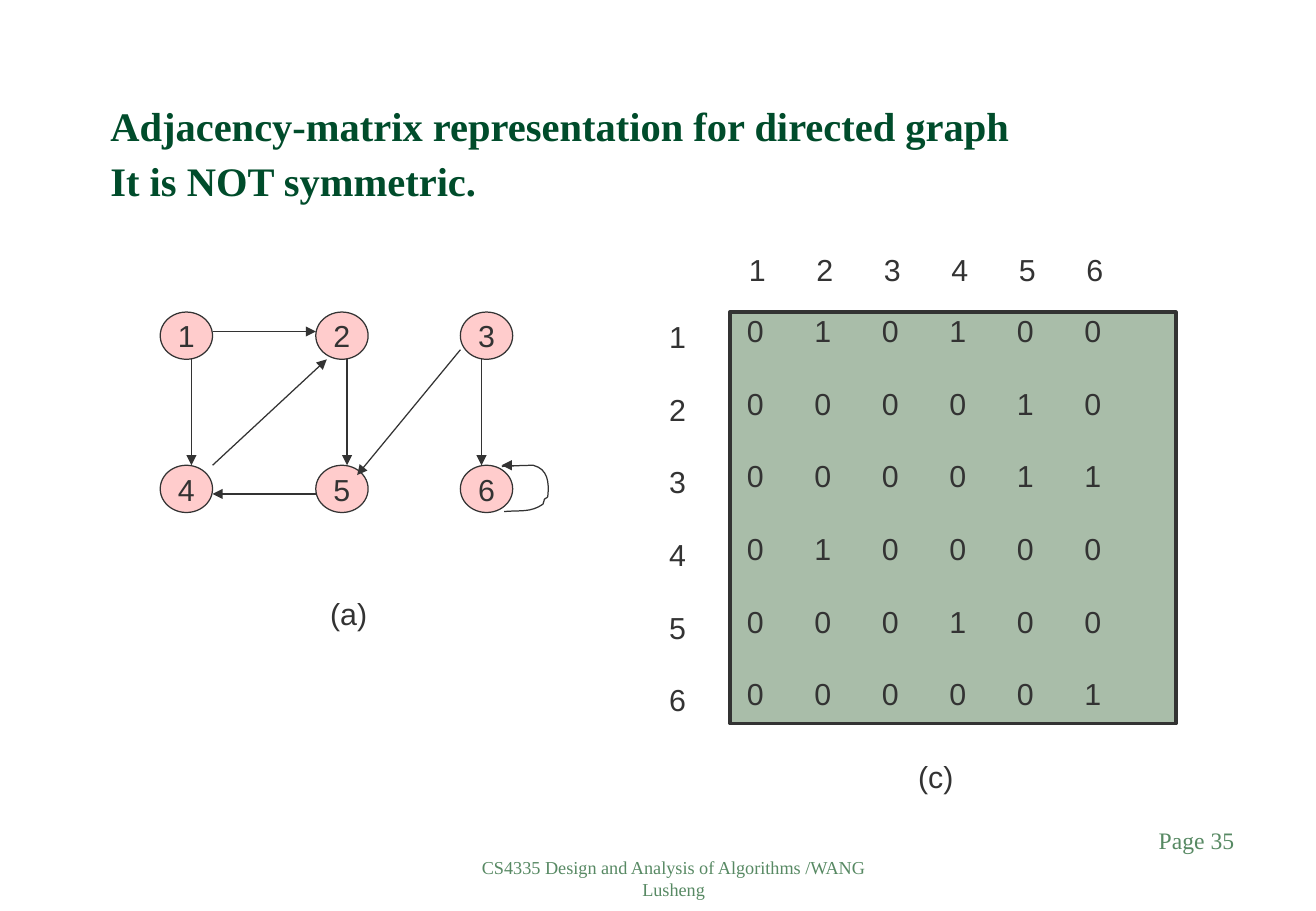
import pptx
import pptx.util
import pptx.dml.color
import pptx.enum.shapes
import pptx.enum.text
import pptx.oxml.ns
import lxml.etree
import dataclasses

Pt = pptx.util.Pt
Align = pptx.enum.text.PP_ALIGN
Anchor = pptx.enum.text.MSO_ANCHOR
Shape = pptx.enum.shapes.MSO_SHAPE
Link = pptx.enum.shapes.MSO_CONNECTOR


@dataclasses.dataclass(frozen=True)
class Theme:
    ink: str = "333333"
    title: str = "004C2B"
    foot: str = "578963"
    node: str = "FFCCCC"
    panel: str = "A9BDA9"
    sans: str = "Arial"
    serif: str = "Times New Roman"
    head: float = 24
    body: float = 18
    page: float = 14
    small: float = 10.8
    thin: float = 0.75
    thick: float = 2


T = Theme()
NODE = (31, 28)
COLS = (0, 92.2, 177.9)
ROWS = (0, 90.8)
# Start node, offset in it, end node, offset in it
EDGES = [
    (1, (18.5, 28), 4, (18.5, 0)),
    (1, (31, 11.5), 2, (0, 11.5)),
    (5, (0, 17), 4, (31, 17)),
    (4, (31, 0), 2, (6.5, 28)),
    (2, (18.5, 28), 5, (18.5, 0)),
    (3, (0, 22.3), 5, (24.5, 5.8)),
    (3, (12.5, 28), 6, (12.5, 0)),
    (6, (36.7, 0), 6, (24.5, 0)),
]
# Curve from node 6 back to itself: start, then three points per arc
LOOP = [
    (25.9, 27.4),
    (35.3, 26.6), (41.8, 28.1), (49, 23),
    (49, 22.3), (49.7, 20.9), (49.7, 20.2),
    (50.4, 19.4), (51.8, 19.4), (51.8, 18),
    (52.6, 10.1), (51.8, 2.2), (43.2, 0),
    (37.4, 0), (24.5, 0.7), (24.5, 0.7),
]
MATRIX = ["010100", "000010", "000011", "010000", "000100", "000001"]
LABELS = "123456"
STEP = 40
GAP = 21.5


def rgb(code):
    return pptx.dml.color.RGBColor.from_string(code)


def sub(parent, tag, **attrs):
    return lxml.etree.SubElement(parent, pptx.oxml.ns.qn(tag), **attrs)


def write(frame, lines, size=T.body, color=T.ink, face=T.sans, bold=False,
          align=Align.LEFT, inset=(7.2, 3.6), gap=0, lead=None, tabs=0):
    frame.margin_left, frame.margin_top = Pt(inset[0]), Pt(inset[1])
    for i, line in enumerate(lines):
        par = frame.add_paragraph() if i else frame.paragraphs[0]
        par.text = line
        if tabs:
            stops = sub(par._p.get_or_add_pPr(), "a:tabLst")
            for n in range(1, tabs + 1):
                sub(stops, "a:tab", pos=str(Pt(STEP * n)), algn="l")
        par.alignment = align
        if i and gap:
            par.space_before = Pt(gap)
        if lead:
            par.line_spacing = Pt(lead)
        font = par.font
        font.size, font.name, font.bold = Pt(size), face, bold
        font.color.rgb = rgb(color)


def label(slide, box, lines, **style):
    frame = slide.shapes.add_textbox(*map(Pt, box)).text_frame
    frame.word_wrap = True
    write(frame, lines, **style)
    return frame


def solid(slide, kind, box, fill, width):
    shape = slide.shapes.add_shape(kind, *map(Pt, box))
    shape.shadow.inherit = False
    shape.fill.solid()
    shape.fill.fore_color.rgb = rgb(fill)
    shape.line.color.rgb = rgb(T.ink)
    shape.line.width = Pt(width)
    return shape


def arrow(slide, start, end):
    line = slide.shapes.add_connector(Link.STRAIGHT, *map(Pt, start + end))
    line.line.color.rgb = rgb(T.ink)
    line.line.width = Pt(T.thin)
    sub(line.line._get_or_add_ln(), "a:tailEnd", type="triangle")
    sub(line._element.spPr, "a:effectLst")


def arc(a, b, c, d, steps=8):
    for n in range(1, steps + 1):
        t = n / steps
        u = 1 - t
        yield tuple(u**3 * p + 3 * u * u * t * q + 3 * u * t * t * r + t**3 * s
                    for p, q, r, s in zip(a, b, c, d))


def loop(slide, left, top):
    def place(point):
        return Pt(left + point[0]), Pt(top + point[1])

    path = slide.shapes.build_freeform(*place(LOOP[0]))
    points = [place(p) for i in range(0, len(LOOP) - 1, 3)
              for p in arc(*LOOP[i:i + 4])]
    path.add_line_segments(points, close=False)
    shape = path.convert_to_shape()
    shape.shadow.inherit = False
    shape.fill.background()
    shape.line.color.rgb = rgb(T.ink)
    shape.line.width = Pt(T.thin)


def graph(slide, left, top):
    spots = {}
    # Nodes
    for i, name in enumerate(LABELS):
        spot = (left + COLS[i % 3], top + ROWS[i // 3])
        spots[i + 1] = spot
        node = solid(slide, Shape.OVAL, spot + NODE, T.node, T.thin)
        frame = node.text_frame
        frame.word_wrap = False
        frame.vertical_anchor = Anchor.MIDDLE
        write(frame, [name], align=Align.CENTER)
    # Edges
    for a, off, b, to in EDGES:
        arrow(slide, (spots[a][0] + off[0], spots[a][1] + off[1]),
              (spots[b][0] + to[0], spots[b][1] + to[1]))
    loop(slide, *spots[6])
    # Caption
    label(slide, (left + 93.6, top + 164.2, 43.2, 28.8), ["(a)"])


def matrix(slide, left, top, wide, high):
    # Panel with the values
    panel = solid(slide, Shape.RECTANGLE, (left, top, wide, high), T.panel, T.thick)
    frame = panel.text_frame
    frame.word_wrap = False
    frame.vertical_anchor = Anchor.TOP
    write(frame, ["\t".join(row) for row in MATRIX],
          inset=(10, 0), gap=GAP, tabs=5)
    # Column and row labels
    label(slide, (left - 6, top - 39.6, wide + 6, 28.8), ["\t".join(LABELS)],
          inset=(17.2, 3.6), tabs=5)
    label(slide, (left - 43.2, top, 31, high), LABELS, gap=GAP)
    # Caption
    label(slide, (left + 104.4, top + 260.6, 43.2, 28.8), ["(c)"])


def title(slide, box):
    frame = label(slide, box, [
        "Adjacency-matrix representation for directed graph\vIt is NOT symmetric.",
    ], size=T.head, color=T.title, face=T.serif, bold=True, lead=32.6)
    frame.vertical_anchor = Anchor.BOTTOM
    frame.margin_bottom = Pt(4.5)


def footer(slide, left, top):
    label(slide, (left, top + 18, 247, 36),
          ["CS4335 Design and Analysis of Algorithms /WANG Lusheng"],
          size=T.small, color=T.foot, face=T.serif, align=Align.CENTER)
    label(slide, (left + 300.2, top, 162.7, 36), ["Page 35"],
          size=T.page, color=T.foot, face=T.serif, align=Align.RIGHT)


def main():
    deck = pptx.Presentation()
    deck.slide_width, deck.slide_height = Pt(780), Pt(540)
    slide = deck.slides.add_slide(deck.slide_layouts[6])
    title(slide, (58.3, 36, 661.7, 90))
    graph(slide, 95, 185)
    matrix(slide, 432.7, 185, 264.3, 244)
    footer(slide, 275.8, 486)
    deck.save("out.pptx")


if __name__ == "__main__":
    main()
